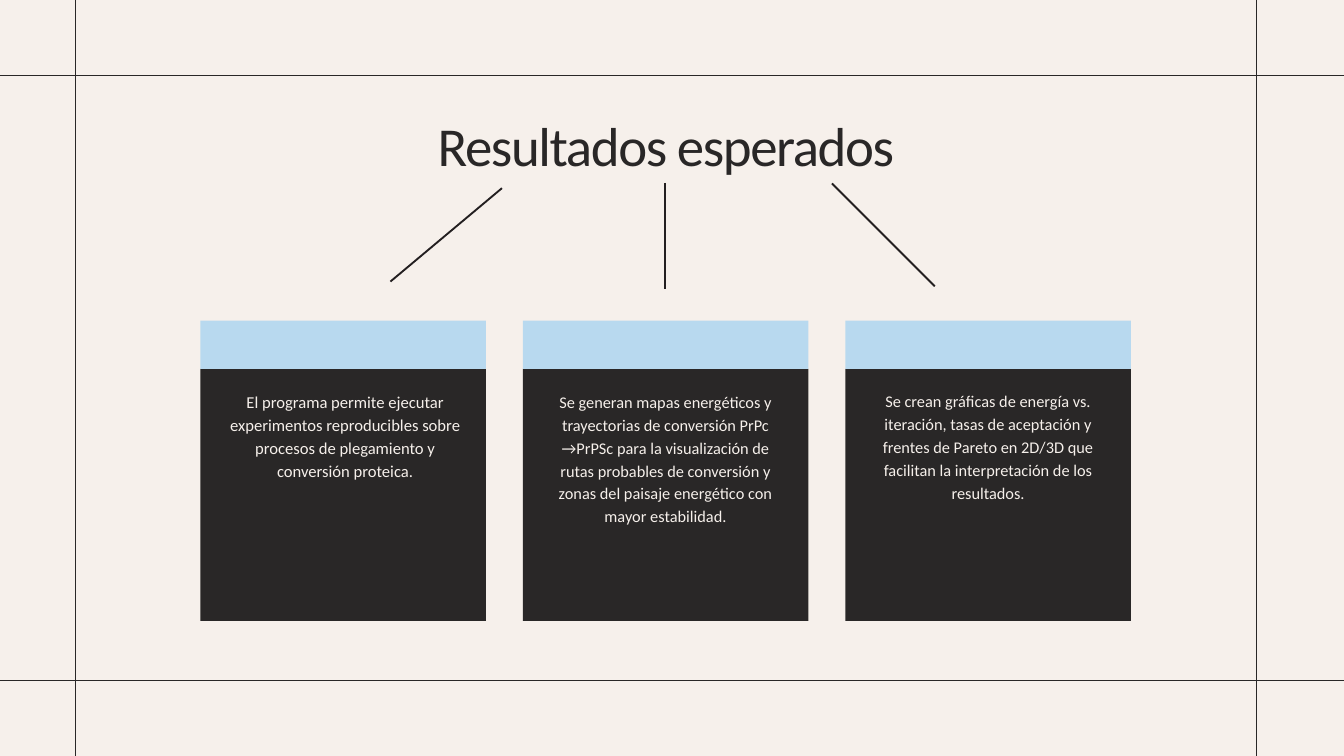
"""Build the expected-results slide with three cards under a title."""
from lxml import etree
from pptx import Presentation
from pptx.dml.color import RGBColor
from pptx.enum.shapes import MSO_CONNECTOR, MSO_SHAPE
from pptx.enum.text import MSO_ANCHOR, MSO_AUTO_SIZE, PP_ALIGN
from pptx.oxml.ns import qn
from pptx.util import Inches, Pt

CREAM = RGBColor(0xF6, 0xF0, 0xEB)
DARK = RGBColor(0x29, 0x27, 0x27)
BLACK = RGBColor(0x23, 0x1F, 0x20)
BLUE = RGBColor(0xB8, 0xD9, 0xEF)

RECTANGLE = MSO_SHAPE.RECTANGLE
STRAIGHT = MSO_CONNECTOR.STRAIGHT
CENTER = PP_ALIGN.CENTER
TOP = MSO_ANCHOR.TOP
NO_AUTOFIT = MSO_AUTO_SIZE.NONE

WIDTH, HEIGHT = 20, 11.25
CARD_LEFT, CARD_STEP, CARD_WIDTH = 2.98, 4.8, 4.25
HEADER_TOP, HEADER_HEIGHT, BODY_HEIGHT = 4.77, 0.72, 3.75
TEXT_INSET, TEXT_TOP = 0.39, 5.78

CARDS = [
    ("El programa permite ejecutar experimentos reproducibles sobre procesos "
     "de plegamiento y conversión proteica.", 3.53, 1.71, 17.8, 24.9),
    ("Se generan mapas energéticos y trayectorias de conversión PrPc →PrPSc "
     "para la visualización de rutas probables de conversión y zonas del "
     "paisaje energético con mayor estabilidad.", 3.47, 2.99, 17.5, 24.6),
    ("Se crean gráficas de energía vs. iteración, tasas de aceptación y "
     "frentes de Pareto en 2D/3D que facilitan la interpretación de los "
     "resultados.", 3.47, 2.33, 17.5, 24.5),
]
BRANCHES = [(7.47, 2.8, 5.81, 4.19), (9.9, 2.72, 9.9, 4.3), (12.38, 2.73, 13.91, 4.26)]


class SlideBuilder:
    def __init__(self, prs):
        self.font = "Calibri"
        self.slide = prs.slides.add_slide(prs.slide_layouts[5])
        fill = self.slide.background.fill
        fill.solid()
        fill.fore_color.rgb = CREAM

    def set_text(self, sp, text, size, spacing, color):
        tf = sp.text_frame
        tf.word_wrap = True
        tf.auto_size = NO_AUTOFIT
        tf.vertical_anchor = TOP
        tf.margin_left = tf.margin_right = tf.margin_top = tf.margin_bottom = 0
        p = tf.paragraphs[0]
        p.alignment = CENTER
        p.line_spacing = Pt(spacing)
        p.font.name = self.font
        p.font.size = Pt(size)
        p.font.color.rgb = color
        r = p.add_run()
        r.text = text
        return r

    def title(self, text, left, top, width, height, size, spacing, tracking):
        sp = self.slide.shapes.title
        sp.left, sp.top = Inches(left), Inches(top)
        sp.width, sp.height = Inches(width), Inches(height)
        r = self.set_text(sp, text, size, spacing, DARK)
        r._r.get_or_add_rPr().set("spc", str(int(tracking * 100)))

    def text(self, text, left, top, width, height, size, spacing):
        sp = self.slide.shapes.add_textbox(
            Inches(left), Inches(top), Inches(width), Inches(height))
        self.set_text(sp, text, size, spacing, CREAM)

    def box(self, left, top, width, height, color):
        sp = self.slide.shapes.add_shape(
            RECTANGLE, Inches(left), Inches(top), Inches(width), Inches(height))
        sp.shadow.inherit = False
        sp.fill.solid()
        sp.fill.fore_color.rgb = color
        sp.line.fill.background()

    def line(self, x1, y1, x2, y2, color, weight):
        sp = self.slide.shapes.add_connector(
            STRAIGHT, Inches(x1), Inches(y1), Inches(x2), Inches(y2))
        sp.line.color.rgb = color
        sp.line.width = Pt(weight)
        etree.SubElement(sp._element.spPr, qn("a:effectLst"))


def main():
    prs = Presentation()
    prs.slide_width, prs.slide_height = Inches(WIDTH), Inches(HEIGHT)
    s = SlideBuilder(prs)

    s.title("Resultados esperados", 3.12, 1.73, 13.58, 0.94, 58.8, 65.3, -1.5)
    for i, (text, width, height, size, spacing) in enumerate(CARDS):
        left = CARD_LEFT + i * CARD_STEP
        s.box(left, HEADER_TOP + HEADER_HEIGHT, CARD_WIDTH, BODY_HEIGHT, DARK)
        s.box(left, HEADER_TOP, CARD_WIDTH, HEADER_HEIGHT, BLUE)
        s.text(text, left + TEXT_INSET, TEXT_TOP, width, height, size, spacing)
    for ends in BRANCHES:
        s.line(*ends, BLACK, 2)
    for y in (1.12, 10.13):
        s.line(0, y, WIDTH, y, DARK, 1)
    for x in (1.13, 18.7):
        s.line(x, 0, x, HEIGHT, DARK, 1)

    prs.save("out.pptx")


if __name__ == "__main__":
    main()
